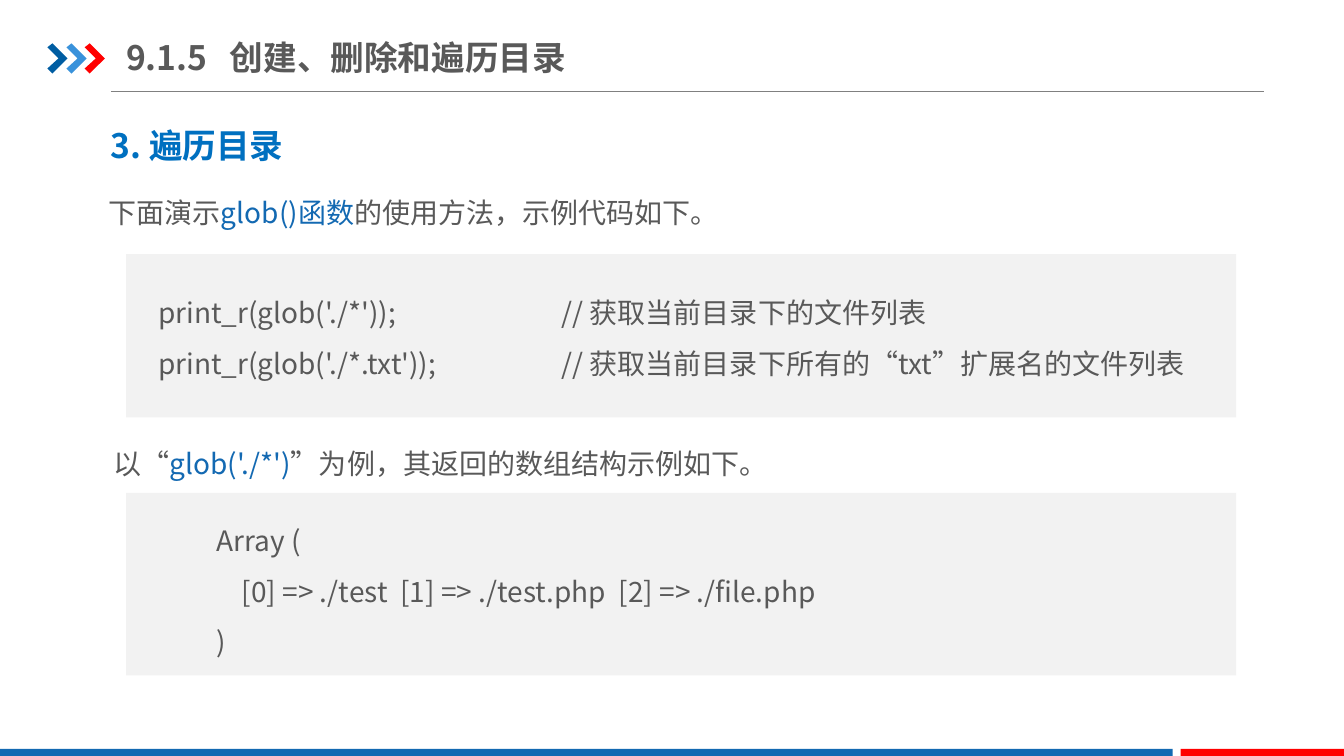
from pptx import Presentation
from pptx.dml.color import RGBColor
from pptx.enum.shapes import MSO_CONNECTOR, MSO_SHAPE
from pptx.enum.text import MSO_ANCHOR, MSO_AUTO_SIZE
from pptx.oxml.ns import qn
from pptx.util import Inches, Pt
from lxml import etree

RECTANGLE = MSO_SHAPE.RECTANGLE
STRAIGHT = MSO_CONNECTOR.STRAIGHT
MIDDLE = MSO_ANCHOR.MIDDLE
TOP = MSO_ANCHOR.TOP
FIT_SHAPE = MSO_AUTO_SIZE.SHAPE_TO_FIT_TEXT
NO_FIT = MSO_AUTO_SIZE.NONE

THEME = {
    "font": "Noto Sans CJK SC",
    "heading_size": 24, "body_size": 20,
    "text": "595959", "heading": "0070C0", "accent": "1369B2",
    "panel": "F2F2F2", "rule": "808080", "red": "FF0000",
    "chevrons": ["005DA2", "3992DB", "FF0000"],
}

# Grid: 1333 columns by 750 rows
CELL = Inches(0.01)
COLUMNS, ROWS = 1333, 750
PANEL_LEFT, PANEL_WIDTH = 125, 1101
BAR_TOP, BAR_SPLIT, BAR_GAP = 743, 1163, 8

presentation = Presentation()
presentation.slide_width = COLUMNS * CELL
presentation.slide_height = ROWS * CELL
slide = presentation.slides.add_slide(presentation.slide_layouts[6])


def add_block(left, top, width, height, color):
    shape = slide.shapes.add_shape(
        RECTANGLE, left * CELL, top * CELL, width * CELL, height * CELL)
    shape.shadow.inherit = False
    shape.fill.solid()
    shape.fill.fore_color.rgb = RGBColor.from_string(color)
    shape.line.fill.background()


def add_text(lines, left, top, width, height, size=THEME["body_size"],
             color=THEME["text"], bold=False, spacing=1.0, tab=None,
             anchor=TOP, fit=FIT_SHAPE, margins=(10, 5)):
    """Each line is a list of runs; every second run has the accent colour."""
    box = slide.shapes.add_textbox(
        left * CELL, top * CELL, width * CELL, height * CELL)
    frame = box.text_frame
    frame.word_wrap = True
    frame.auto_size = fit
    frame.vertical_anchor = anchor
    frame.margin_left = frame.margin_right = margins[0] * CELL
    frame.margin_top = frame.margin_bottom = margins[1] * CELL
    for number, line in enumerate(lines):
        paragraph = frame.add_paragraph() if number else frame.paragraphs[0]
        paragraph.line_spacing = spacing
        if tab:
            properties = paragraph._p.get_or_add_pPr()
            tab_list = etree.SubElement(properties, qn("a:tabLst"))
            etree.SubElement(tab_list, qn("a:tab"), pos=str(tab * CELL), algn="l")
        for position, words in enumerate(line):
            run = paragraph.add_run()
            run.text = words
            run.font.size = Pt(size)
            run.font.bold = bold
            run.font.color.rgb = RGBColor.from_string(
                THEME["accent"] if position % 2 else color)
            run.font.name = THEME["font"]
            etree.SubElement(run._r.get_or_add_rPr(), qn("a:ea"),
                             typeface=THEME["font"])


# Header rule
rule = slide.shapes.add_connector(
    STRAIGHT, 110 * CELL, 91 * CELL, 1254 * CELL, 91 * CELL)
rule.line.color.rgb = RGBColor.from_string(THEME["rule"])
rule.line.width = Pt(0.75)
etree.SubElement(rule._element.spPr, qn("a:effectLst"))

# Header chevrons
CHEVRON = [(0, 4), (5, 0), (20, 15), (5, 30), (0, 25), (11, 15)]
for number, color in enumerate(THEME["chevrons"]):
    corners = [(47 + 18.7 * number + x, 43 + y) for x, y in CHEVRON]
    builder = slide.shapes.build_freeform(*corners[0], scale=CELL)
    builder.add_line_segments(corners[1:], close=True)
    chevron = builder.convert_to_shape()
    chevron.shadow.inherit = False
    chevron.fill.solid()
    chevron.fill.fore_color.rgb = RGBColor.from_string(color)
    chevron.line.fill.background()

# Footer bars
red_left = BAR_SPLIT + BAR_GAP
add_block(0, BAR_TOP, BAR_SPLIT, ROWS - BAR_TOP, THEME["accent"])
add_block(red_left, BAR_TOP, COLUMNS - red_left, ROWS - BAR_TOP, THEME["red"])

# Titles
add_text([["9.1.5\t创建、删除和遍历目录"]], PANEL_LEFT, 29, 455, 55,
         size=THEME["heading_size"], bold=True, tab=103,
         anchor=MIDDLE, fit=NO_FIT, margins=(0, 7))
add_text([["3. 遍历目录"]], 100, 119, 438, 50,
         size=THEME["heading_size"], color=THEME["heading"], bold=True)

# Sample code
add_text([["下面演示", "glob()函数", "的使用方法，示例代码如下。"]],
         98, 189, 860, 44)
add_block(PANEL_LEFT, 252, PANEL_WIDTH, 162, THEME["panel"])
add_text([["print_r(glob('./*'));\t// 获取当前目录下的文件列表"],
          ["print_r(glob('./*.txt'));\t// 获取当前目录下所有的“txt”扩展名的文件列表"]],
         147, 272, 1095, 111, spacing=1.5, tab=400)

# Returned array
add_text([["以“", "glob('./*')", "”为例，其返回的数组结构示例如下。"]],
         103, 421, 898, 61, spacing=1.5)
add_block(PANEL_LEFT, 489, PANEL_WIDTH, 181, THEME["panel"])
add_text([["Array ("],
          ["    [0] => ./test  [1] => ./test.php  [2] => ./file.php"],
          [")"]],
         205, 498, 761, 162, spacing=1.5)

presentation.save("out.pptx")
